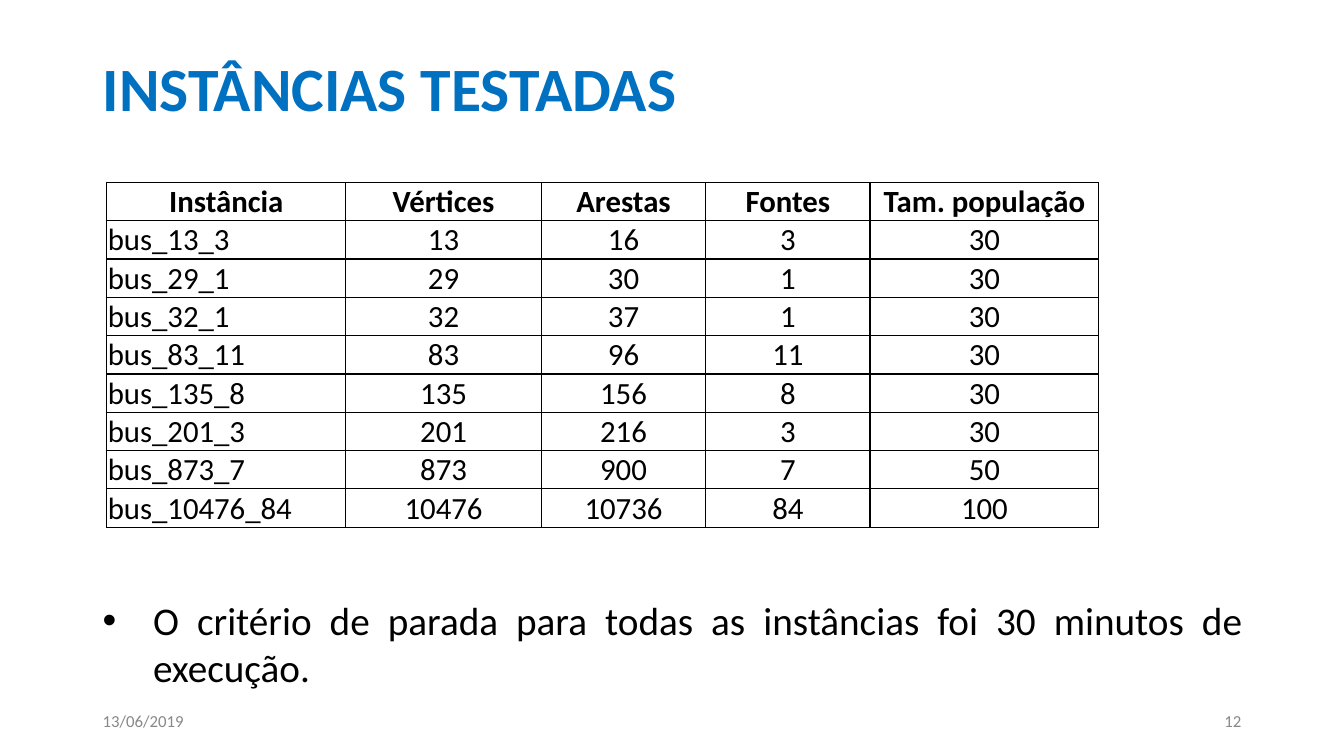
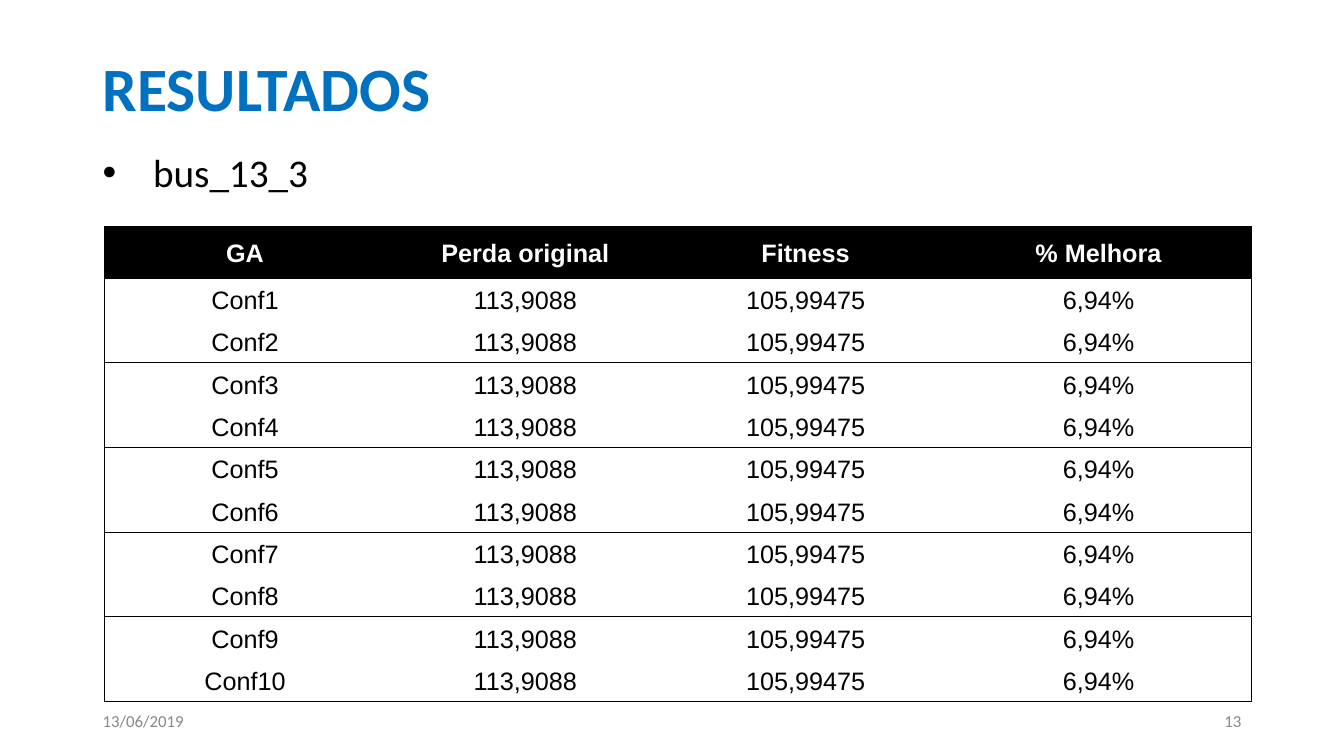
from lxml import etree
from pptx import Presentation
from pptx.dml.color import RGBColor
from pptx.enum.text import MSO_ANCHOR, PP_ALIGN
from pptx.oxml.ns import qn
from pptx.util import Inches, Pt

MIDDLE = MSO_ANCHOR.MIDDLE
TOP = MSO_ANCHOR.TOP
LEFT = PP_ALIGN.LEFT
CENTER = PP_ALIGN.CENTER
RIGHT = PP_ALIGN.RIGHT
JUSTIFY = PP_ALIGN.JUSTIFY

COLORS = {
    "title": "0070C0",
    "text": "000000",
    "footer": "888888",
    "header": "000000",
    "header_text": "FFFFFF",
    "border": "000000",
}
BODY_FONT = "Calibri"
RESULT_FONT = "Arial"
MARGIN = 0.92
CONTENT_WIDTH = 11.5
DATE = "13/06/2019"

INSTANCES = [
    ("Instância", "Vértices", "Arestas", "Fontes", "Tam. população"),
    ("bus_13_3", "13", "16", "3", "30"),
    ("bus_29_1", "29", "30", "1", "30"),
    ("bus_32_1", "32", "37", "1", "30"),
    ("bus_83_11", "83", "96", "11", "30"),
    ("bus_135_8", "135", "156", "8", "30"),
    ("bus_201_3", "201", "216", "3", "30"),
    ("bus_873_7", "873", "900", "7", "50"),
    ("bus_10476_84", "10476", "10736", "84", "100"),
]
RESULTS = [("GA", "Perda original", "Fitness", "% Melhora")] + [
    (f"Conf{number}", "113,9088", "105,99475", "6,94%") for number in range(1, 11)
]


def format_paragraph(paragraph, size, color, font=BODY_FONT, bold=False, align=LEFT):
    paragraph.alignment = align
    for run in paragraph.runs:
        run.font.name = font
        run.font.size = Pt(size)
        run.font.bold = bold
        run.font.color.rgb = RGBColor.from_string(COLORS[color])


def add_text(slide, text, left, top, width, height, size, color,
             bold=False, align=LEFT, anchor=MIDDLE):
    shape = slide.shapes.add_textbox(
        Inches(left), Inches(top), Inches(width), Inches(height))
    text_frame = shape.text_frame
    text_frame.word_wrap = True
    text_frame.vertical_anchor = anchor
    text_frame.text = text
    paragraph = text_frame.paragraphs[0]
    format_paragraph(paragraph, size, color, bold=bold, align=align)
    return paragraph


def add_bullet(slide, text, top, height):
    paragraph = add_text(slide, text, MARGIN, top, CONTENT_WIDTH, height, 28, "text",
                         align=JUSTIFY, anchor=TOP)
    properties = paragraph._p.get_or_add_pPr()
    properties.set("marL", str(Inches(0.5)))
    properties.set("indent", str(Inches(-0.5)))
    etree.SubElement(properties, qn("a:buFont"), typeface="Arial")
    etree.SubElement(properties, qn("a:buChar"), char="•")


def add_base_slide(presentation, title, number):
    slide = presentation.slides.add_slide(presentation.slide_layouts[6])
    add_text(slide, title, MARGIN, 0.3, CONTENT_WIDTH, 1.12, 44, "title", bold=True)
    add_text(slide, DATE, MARGIN, 6.95, 3.58, 0.4, 12, "footer")
    add_text(slide, str(number), 8.83, 6.95, 3.58, 0.4, 12, "footer", align=RIGHT)
    return slide


def set_borders(cell, visible_sides, width):
    properties = cell._tc.get_or_add_tcPr()
    for side in "LRTB":
        line = etree.SubElement(properties, qn(f"a:ln{side}"), w=str(Pt(width)))
        if side in visible_sides:
            fill = etree.SubElement(line, qn("a:solidFill"))
            etree.SubElement(fill, qn("a:srgbClr"), val=COLORS["border"])
        else:
            etree.SubElement(line, qn("a:noFill"))


def add_grid(slide, rows, left, top, widths, heights, rules, column_rules, border,
             size, font, header_fill=None, header_color="text",
             first_align=CENTER, spacing=1.0):
    frame = slide.shapes.add_table(
        len(rows), len(widths), Inches(left), Inches(top),
        Inches(sum(widths)), Inches(sum(heights)))
    table = frame.table
    table.first_row = table.horz_banding = False
    for column, width in zip(table.columns, widths):
        column.width = Inches(width)
    for row, height in zip(table.rows, heights):
        row.height = Inches(height)
    for row_index, values in enumerate(rows):
        is_header = row_index == 0
        for column_index, value in enumerate(values):
            cell = table.cell(row_index, column_index)
            edges = {
                "L": column_index in column_rules,
                "R": column_index + 1 in column_rules,
                "T": row_index in rules,
                "B": row_index + 1 in rules,
            }
            set_borders(cell, [side for side, shown in edges.items() if shown], border)
            if is_header and header_fill:
                cell.fill.solid()
                cell.fill.fore_color.rgb = RGBColor.from_string(COLORS[header_fill])
            else:
                cell.fill.background()
            cell.margin_left = cell.margin_right = cell.margin_top = Inches(0.01)
            cell.margin_bottom = 0
            cell.vertical_anchor = MIDDLE
            cell.text_frame.text = value
            paragraph = cell.text_frame.paragraphs[0]
            paragraph.line_spacing = spacing
            align = first_align if column_index == 0 and not is_header else CENTER
            format_paragraph(paragraph, size, header_color if is_header else "text",
                             font, is_header, align)


def build_instances(presentation):
    slide = add_base_slide(presentation, "INSTÂNCIAS TESTADAS", 12)
    widths = [2.37, 1.94, 1.63, 1.63, 2.27]
    add_grid(slide, INSTANCES, 1.06, 1.81, widths, [0.38] * len(INSTANCES),
             rules=range(len(INSTANCES) + 1), column_rules=range(len(widths) + 1),
             border=1, size=22, font=BODY_FONT, first_align=LEFT)
    add_bullet(slide, "O critério de parada para todas as instâncias foi "
               "30 minutos de execução.", 5.87, 1.08)


def build_results(presentation):
    slide = add_base_slide(presentation, "RESULTADOS", 13)
    add_bullet(slide, "bus_13_3", 1.42, 0.83)
    widths = [2.78] * 3 + [3.03]
    add_grid(slide, RESULTS, 1.04, 2.25, widths, [0.51] + [0.42] * (len(RESULTS) - 1),
             rules=[0, *range(1, len(RESULTS) + 1, 2)], column_rules=[0, len(widths)],
             border=0.75, size=18, font=RESULT_FONT, header_fill="header",
             header_color="header_text", spacing=1.07)


def main():
    presentation = Presentation()
    presentation.slide_width = Inches(13.33)
    presentation.slide_height = Inches(7.5)
    build_instances(presentation)
    build_results(presentation)
    presentation.save("out.pptx")


if __name__ == "__main__":
    main()
